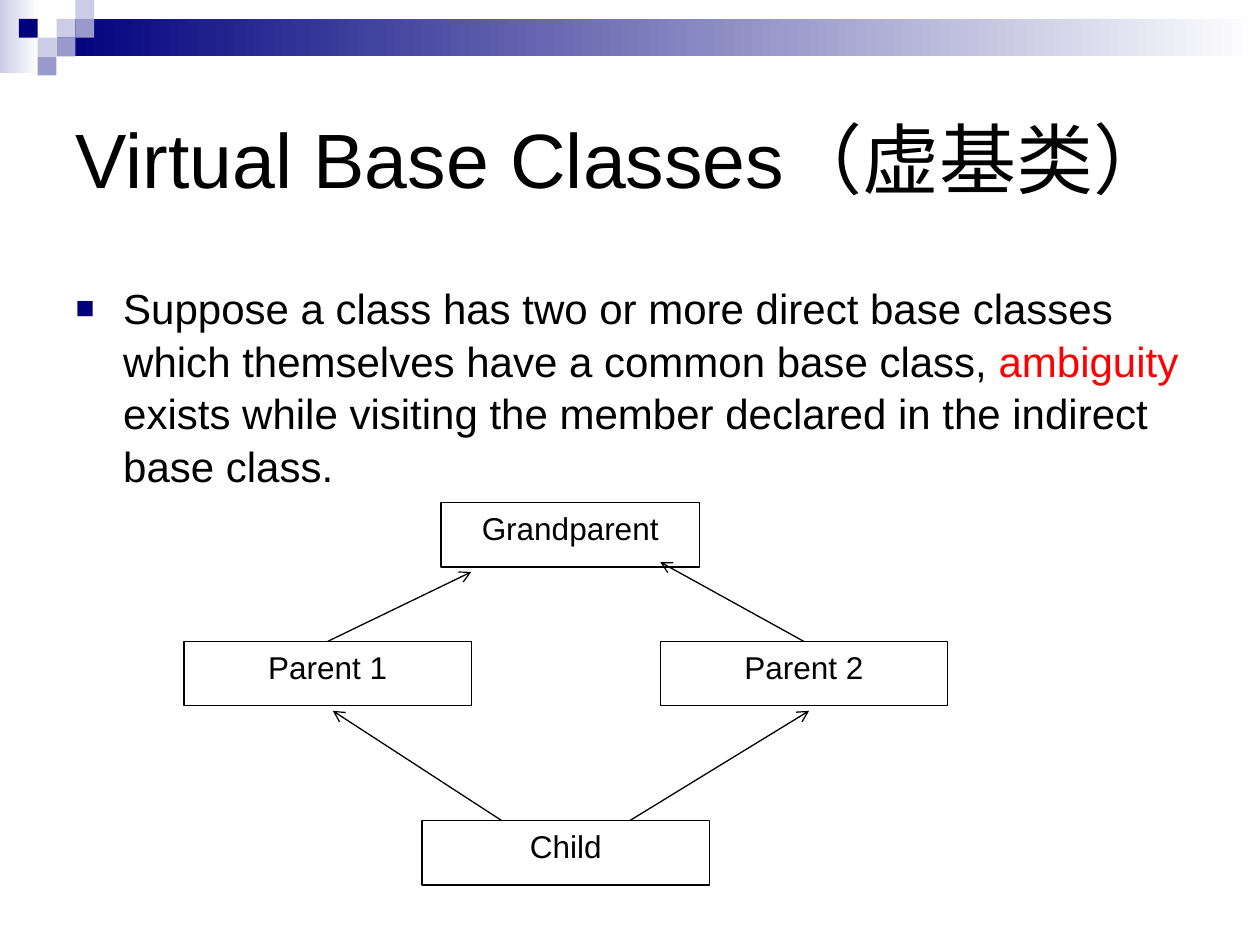
import pptx
import pptx.dml.color
import pptx.enum.shapes
import pptx.enum.text
import pptx.oxml.ns
import pptx.util
from lxml import etree
from pptx.util import Cm

RGBColor = pptx.dml.color.RGBColor
NAVY = RGBColor(0x00, 0x00, 0x7D)
LAVENDER = RGBColor(0xCC, 0xCC, 0xE6)
PERIWINKLE = RGBColor(0x99, 0x99, 0xCC)
BLACK = RGBColor(0, 0, 0)
RED = RGBColor(0xFF, 0, 0)
WHITE = RGBColor(0xFF, 0xFF, 0xFF)

TILE = 0.38
BOX_HEIGHT = 1.3


def add_element(parent, tag, **attributes):
    return etree.SubElement(parent, pptx.oxml.ns.qn(tag), attributes)


class SlideBuilder:
    font_name = "Arial"
    line_width = pptx.util.Pt(0.75)

    def __init__(self, page):
        self.page = page

    def style_font(self, font, size, color=BLACK):
        font.name = self.font_name
        font.size = pptx.util.Pt(size)
        font.color.rgb = color

    def rectangle(self, left, top, width, height):
        shape = self.page.shapes.add_shape(
            pptx.enum.shapes.MSO_SHAPE.RECTANGLE,
            Cm(left), Cm(top), Cm(width), Cm(height))
        shape.shadow.inherit = False
        return shape

    def tile(self, column, row, color):
        shape = self.rectangle(column * TILE, row * TILE, TILE, TILE)
        shape.fill.solid()
        shape.fill.fore_color.rgb = color
        shape.line.fill.background()

    def fading_bar(self, left, top, width, height, color):
        shape = self.rectangle(left, top, width, height)
        shape.fill.gradient()
        shape.fill.gradient_angle = 0
        for stop, stop_color in zip(shape.fill.gradient_stops, (color, WHITE)):
            stop.color.rgb = stop_color
        shape.line.fill.background()

    def place(self, placeholder, left, top, width, height):
        """Move a placeholder and bring it to the front."""
        placeholder.left, placeholder.top = Cm(left), Cm(top)
        placeholder.width, placeholder.height = Cm(width), Cm(height)
        self.page.shapes.element.append(placeholder.element)
        frame = placeholder.text_frame
        frame.word_wrap = True
        frame.auto_size = pptx.enum.text.MSO_AUTO_SIZE.NONE
        return frame

    def title(self, text):
        frame = self.place(self.page.shapes.title, 1.27, 1.27, 22.86, 3.81)
        frame.vertical_anchor = pptx.enum.text.MSO_ANCHOR.MIDDLE
        frame.text = text
        para = frame.paragraphs[0]
        para.alignment = pptx.enum.text.PP_ALIGN.LEFT
        self.style_font(para.font, 44)

    def bullet(self, spans):
        """Fill the body with one bullet made of (text, colour) spans."""
        frame = self.place(self.page.placeholders[1], 1.27, 5.51, 22.86, 10.8)
        para = frame.paragraphs[0]
        para.space_before = pptx.util.Pt(0)
        para.line_spacing = 1.05
        properties = para._p.get_or_add_pPr()
        properties.set("marL", str(Cm(0.96)))
        properties.set("indent", str(Cm(-0.96)))
        bullet_color = add_element(properties, "a:buClr")
        add_element(bullet_color, "a:srgbClr", val=str(NAVY))
        add_element(properties, "a:buSzPct", val="75000")
        add_element(properties, "a:buFont", typeface=self.font_name)
        add_element(properties, "a:buChar", char="■")
        self.style_font(para.font, 24)
        for text, color in spans:
            span = para.add_run()
            span.text = text
            span.font.color.rgb = color

    def class_box(self, name, left, top, width=5.79):
        box = self.rectangle(left, top, width, BOX_HEIGHT)
        box.fill.background()
        box.line.color.rgb = BLACK
        box.line.width = self.line_width
        frame = box.text_frame
        frame.word_wrap = True
        frame.vertical_anchor = pptx.enum.text.MSO_ANCHOR.TOP
        frame.text = name
        para = frame.paragraphs[0]
        para.alignment = pptx.enum.text.PP_ALIGN.CENTER
        self.style_font(para.font, 18)
        return box

    def arrow(self, head, tail, tail_box=None):
        """Draw an arrow pointing at head, its tail joined to the top of tail_box."""
        line = self.page.shapes.add_connector(
            pptx.enum.shapes.MSO_CONNECTOR.STRAIGHT,
            Cm(head[0]), Cm(head[1]), Cm(tail[0]), Cm(tail[1]))
        if tail_box is not None:
            line.end_connect(tail_box, 0)
        line.line.color.rgb = BLACK
        line.line.width = self.line_width
        add_element(line.line._get_or_add_ln(), "a:headEnd", type="arrow")
        add_element(line._element.spPr, "a:effectLst")


def main():
    deck = pptx.Presentation()
    deck.slide_width, deck.slide_height = Cm(25.4), Cm(19.05)
    builder = SlideBuilder(deck.slides.add_slide(deck.slide_layouts[1]))

    builder.fading_bar(0, 0, 0.79, 1.47, LAVENDER)
    builder.fading_bar(1.14, TILE, 24.26, 2 * TILE, NAVY)
    for column, row, color in (
            (3, 1, LAVENDER), (4, 0, LAVENDER), (4, 1, PERIWINKLE),
            (2, 2, LAVENDER), (1, 1, NAVY), (3, 2, PERIWINKLE),
            (2, 3, PERIWINKLE)):
        builder.tile(column, row, color)

    builder.title("Virtual Base Classes（虚基类）")
    builder.bullet([
        ("Suppose a class has two or more direct base classes which "
         "themselves have a common base class, ", BLACK),
        ("ambiguity", RED),
        (" exists while visiting the member declared in the indirect "
         "base class.", BLACK),
    ])

    parent_top, child_top = 12.93, 16.54
    builder.class_box("Grandparent", 8.89, 10.13, width=5.21)
    first_parent = builder.class_box("Parent 1", 3.71, parent_top)
    second_parent = builder.class_box("Parent 2", 13.31, parent_top)
    builder.class_box("Child", 8.51, child_top)

    builder.arrow((9.5, 11.53), (6.6, parent_top), first_parent)
    builder.arrow((13.31, 11.33), (16.2, parent_top), second_parent)
    builder.arrow((6.71, 14.33), (10.11, child_top))
    builder.arrow((16.31, 14.33), (12.7, child_top))

    deck.save("out.pptx")


if __name__ == "__main__":
    main()
